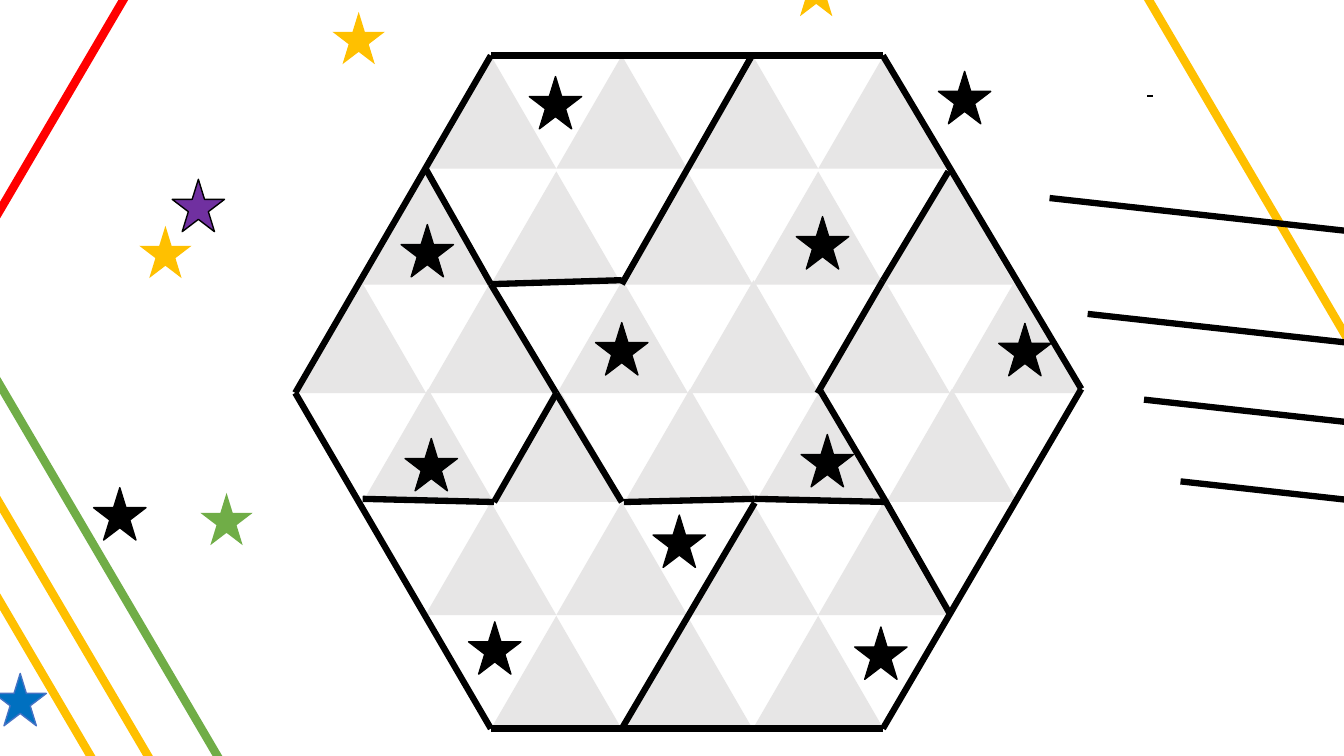
from itertools import pairwise

from lxml.etree import SubElement
from pptx import Presentation
from pptx.dml.color import RGBColor
from pptx.enum.shapes import MSO_CONNECTOR, MSO_SHAPE
from pptx.oxml.ns import qn
from pptx.util import Cm, Pt

BLACK = RGBColor(0x00, 0x00, 0x00)
WHITE = RGBColor(0xFF, 0xFF, 0xFF)
GREY = RGBColor(0xE7, 0xE6, 0xE6)
GOLD = RGBColor(0xFF, 0xC0, 0x00)
RED = RGBColor(0xFF, 0x00, 0x00)
GREEN = RGBColor(0x70, 0xAD, 0x47)
BLUE = RGBColor(0x00, 0x70, 0xC0)
BLUE_EDGE = RGBColor(0x44, 0x72, 0xC4)
PURPLE = RGBColor(0x70, 0x30, 0xA0)

# Content, all lengths in centimetres
TRI_W, TRI_H, STAR = 3.3, 2.85, 1.32

# Triangle rows: top, left of the first, count
WHITE_ROWS = [(15.49, 10.8, 3), (12.57, 9.14, 5), (9.86, 7.44, 6),
              (7.09, 9.04, 5), (4.24, 10.72, 4), (1.4, 12.37, 3)]
GREY_ROWS = [(1.4, 10.72, 4), (4.32, 9.07, 5), (7.06, 7.44, 6),
             (9.8, 9.14, 5), (12.65, 10.72, 4), (15.52, 12.37, 3)]

BACKDROP_LINES = [
    (GOLD, (24.66, -7.32), (41, 20.55)),
    (GOLD, (-7.52, 2.34), (8.81, 30.18)),
    (RED, (7.44, -7.39), (-4.42, 12.83)),
    (GREEN, (-5.56, 0.23), (10.77, 28.07)),
    (GOLD, (-5.69, 3.02), (10.67, 30.86)),
]

HEXAGON = [(12.37, 1.4), (22.25, 1.4), (27.25, 9.8),
           (22.25, 18.36), (12.37, 18.36), (7.44, 9.9), (12.37, 1.4)]
CUTS = [
    [(10.72, 4.24), (12.37, 7.16), (14.02, 9.91), (15.67, 12.65)],
    [(12.37, 7.16), (15.67, 7.06)],
    [(15.67, 7.16), (18.95, 1.4)],
    [(23.9, 4.32), (22.25, 7.07), (20.6, 9.91)],
    [(20.68, 9.86), (22.3, 12.6), (23.95, 15.49)],
    [(15.72, 12.65), (19.02, 12.57), (22.38, 12.65)],
    [(15.67, 18.36), (19.02, 12.67)],
    [(9.14, 12.57), (12.45, 12.65), (14.02, 9.91)],
]
TICK = [(28.98, 2.39), (28.98, 2.44)]
RAY_ENDS = [(35.31, 5.97), (36.27, 8.89), (37.69, 11.05), (38.61, 13.11)]
RAY_DX, RAY_DY = -8.86, -0.98

# Stars: fill, outline, top left corners
STARS = [
    (GREEN, None, [(5.05, 12.42)]),
    (BLUE, BLUE_EDGE, [(-0.15, 16.97)]),
    (PURPLE, BLACK, [(4.34, 4.52)]),
    (GOLD, None, [(19.91, -0.91), (8.38, 0.3), (3.51, 5.69)]),
    (BLACK, BLACK, [
        (2.36, 12.29), (15.01, 8.13), (13.34, 1.93), (21.54, 15.8),
        (11.81, 15.67), (23.65, 1.8), (20.19, 10.95), (25.17, 8.15),
        (20.07, 5.46), (10.11, 5.66), (10.21, 11.05), (16.46, 12.98)]),
]


def add_filled(shapes, kind, x, y, w, h, fill, edge=None):
    sp = shapes.add_shape(kind, Cm(x), Cm(y), Cm(w), Cm(h))
    sp.shadow.inherit = False
    sp.fill.solid()
    sp.fill.fore_color.rgb = fill
    if edge is None:
        sp.line.fill.background()
    else:
        sp.line.color.rgb = edge
        sp.line.width = Pt(1)
    return sp


def add_line(shapes, start, end, color=BLACK, width=4.5):
    cx = shapes.add_connector(MSO_CONNECTOR.STRAIGHT,
                              *(Cm(v) for v in (*start, *end)))
    cx.line.color.rgb = color
    cx.line.width = Pt(width)
    SubElement(cx._element.spPr, qn("a:effectLst"))


def main():
    prs = Presentation()
    prs.slide_width, prs.slide_height = Cm(33.87), Cm(19.05)
    s = prs.slides.add_slide(prs.slide_layouts[6])

    # Triangle board
    board = s.shapes.add_group_shape()
    for rows, fill, turn in ((WHITE_ROWS, WHITE, 180), (GREY_ROWS, GREY, 0)):
        for top, left, count in rows:
            for i in range(count):
                sp = add_filled(board.shapes, MSO_SHAPE.ISOSCELES_TRIANGLE,
                                left + i * TRI_W, top, TRI_W, TRI_H, fill)
                sp.rotation = turn

    # Coloured lines behind the board
    for color, start, end in BACKDROP_LINES:
        add_line(s.shapes, start, end, color, 6)

    # Hexagon outline, its cuts and the lines on the right
    rays = [[(x, y), (x + RAY_DX, y + RAY_DY)] for x, y in RAY_ENDS]
    for points in [HEXAGON, *CUTS, TICK, *rays]:
        for start, end in pairwise(points):
            add_line(s.shapes, start, end)

    # Stars
    for fill, edge, corners in STARS:
        for x, y in corners:
            add_filled(s.shapes, MSO_SHAPE.STAR_5_POINT, x, y,
                       STAR, STAR, fill, edge)

    prs.save("out.pptx")


if __name__ == "__main__":
    main()
